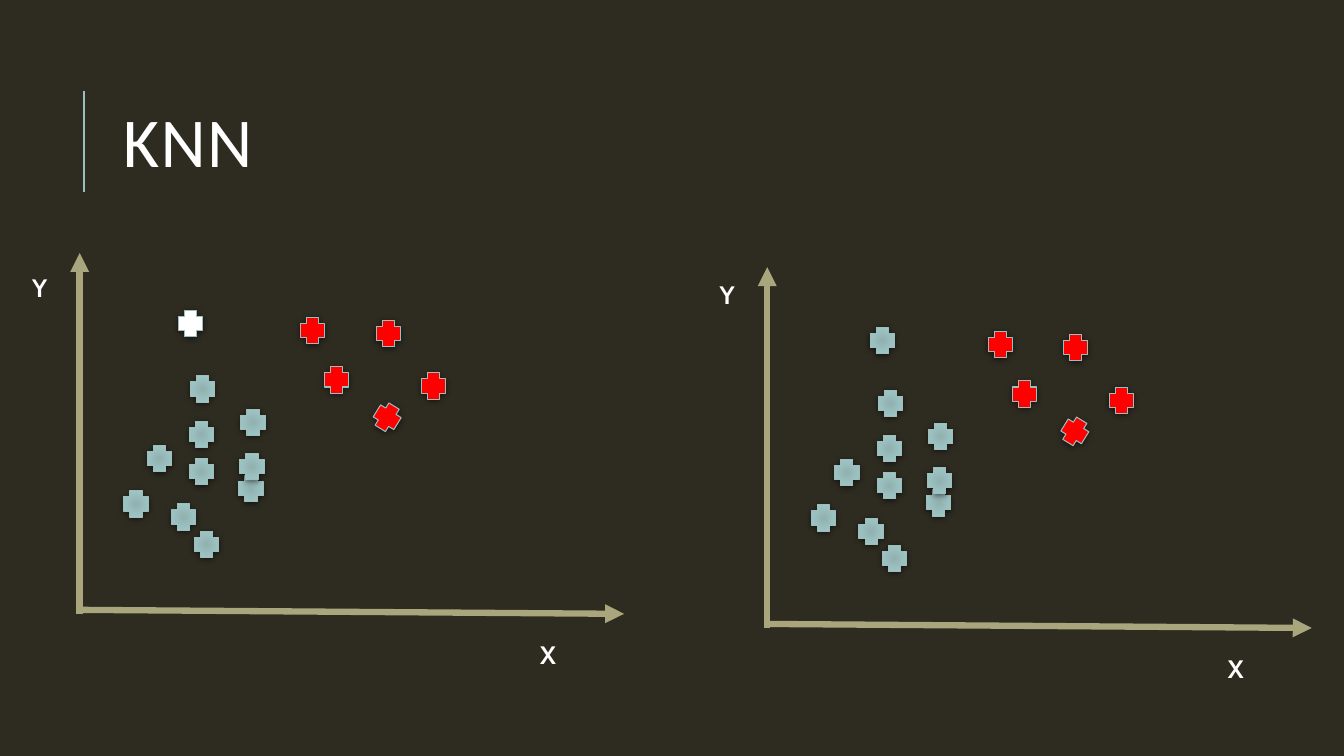
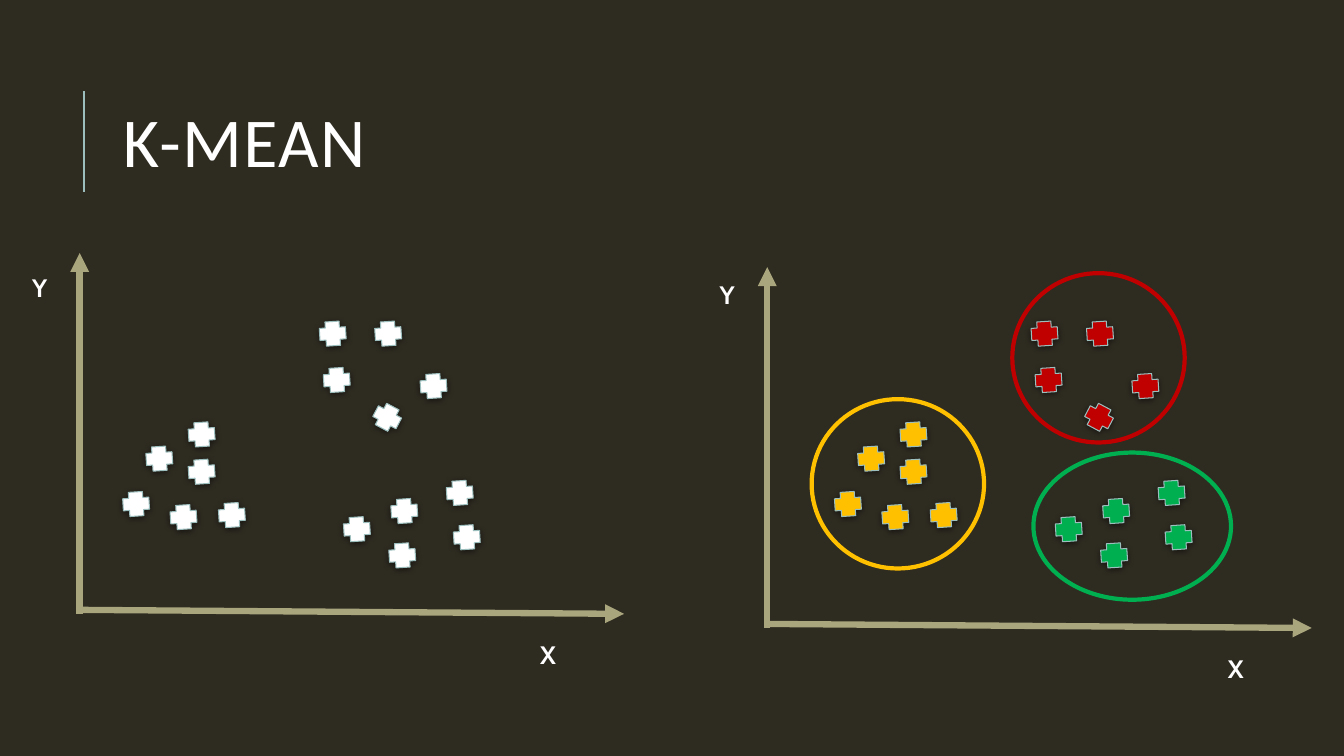
from dataclasses import dataclass

from lxml import etree
from pptx import Presentation
from pptx.dml.color import RGBColor
from pptx.enum.shapes import MSO_CONNECTOR, MSO_SHAPE
from pptx.enum.text import MSO_ANCHOR
from pptx.oxml.ns import qn
from pptx.util import Pt

STRAIGHT = MSO_CONNECTOR.STRAIGHT
PLUS, OVAL = MSO_SHAPE.CROSS, MSO_SHAPE.OVAL
TOP, MIDDLE = MSO_ANCHOR.TOP, MSO_ANCHOR.MIDDLE
PX = 9144  # 100 px to the inch


@dataclass(frozen=True)
class Theme:
    background: str = "2E2B21"
    text: str = "FFFFFF"
    accent: str = "9CBEBD"
    axis: str = "A9A57C"
    teal: tuple = ("91B1B0", "A2CDCC")  # gradient, from and to
    white: str = "FFFFFF"
    red: str = "FF0000"
    crimson: str = "C00000"
    amber: str = "FFC000"
    green: str = "00B050"
    title_font: str = "Calibri"
    label_font: str = "Cabin"
    title_size: int = 50
    label_size: int = 18


THEME = Theme()


def add_text(slide, text, box, *, font, size, bold=False, anchor=TOP,
             line_spacing=None, tracking=None):
    """Add a text box; tracking is letter spacing in hundredths of a point."""
    frame = slide.shapes.add_textbox(*(v * PX for v in box)).text_frame
    frame.word_wrap = True
    frame.vertical_anchor = anchor
    paragraph = frame.paragraphs[0]
    if line_spacing:
        paragraph.line_spacing = line_spacing
    run = paragraph.add_run()
    run.text = text
    run.font.name = font
    run.font.size = Pt(size)
    run.font.bold = bold
    run.font.color.rgb = RGBColor.from_string(THEME.text)
    if tracking:
        run.font._element.set("spc", str(tracking))


def add_line(slide, start, end, color, width, arrow=False):
    connector = slide.shapes.add_connector(
        STRAIGHT, *(v * PX for v in (*start, *end)))
    connector.line.color.rgb = RGBColor.from_string(color)
    connector.line.width = Pt(width)
    properties = connector._element.spPr
    if arrow:
        etree.SubElement(properties.find(qn("a:ln")), qn("a:tailEnd"), type="triangle")
    etree.SubElement(properties, qn("a:effectLst"))


MARKER_W, MARKER_H = 24, 26
TURNED_POINT, EXTRA_TURN = (372, 401), 31.7
PANEL_SHIFTS = ((0, 0), (682, 14))
Y_LABEL_TOPS = (265, 272)

KNN_TEAL = [(189, 373), (193, 527), (146, 442), (239, 406), (123, 487), (170, 500),
            (188, 455), (237, 472), (188, 418), (238, 450)]
KNN_RED = [(298, 315), (322, 364), (373, 318), (418, 370), TURNED_POINT]
MEAN_LEFT = [(218, 498), (146, 442), (123, 487), (170, 500), (188, 455), (188, 418)]
MEAN_TOP = [(318, 318), (322, 364), (373, 318), (418, 370), TURNED_POINT]
MEAN_LOW = [(444, 476), (387, 538), (342, 512), (389, 494), (451, 520)]

# Clusters: colour on the left, colour on the right, shift to the right, points
SLIDES = [
    dict(title="KNN", turn=0, rings=[], clusters=[
        (THEME.teal, THEME.teal, (682, 14), KNN_TEAL),
        (THEME.red, THEME.red, (682, 14), KNN_RED),
        (THEME.white, THEME.teal, (686, 17), [(177, 308)]),
    ]),
    dict(title="K-MEAN", turn=86.3, rings=[
        (THEME.amber, (805, 396, 171, 168)),
        (THEME.crimson, (1004, 271, 171, 168)),
        (THEME.green, (1025, 449, 196, 146)),
    ], clusters=[
        (THEME.white, THEME.amber, (706, 0), MEAN_LEFT),
        (THEME.white, THEME.crimson, (706, 0), MEAN_TOP),
        (THEME.white, THEME.green, (706, 0), MEAN_LOW),
    ]),
]

prs = Presentation()
prs.slide_width, prs.slide_height = 1333 * PX, 750 * PX
backdrop = prs.slide_master.background.fill
backdrop.solid()
backdrop.fore_color.rgb = RGBColor.from_string(THEME.background)
blank = prs.slide_layouts[6]

for content in SLIDES:
    slide = prs.slides.add_slide(blank)
    add_line(slide, (83, 190), (83, 90), THEME.accent, 1.5)
    add_text(slide, content["title"], (112, 64, 1063, 164), font=THEME.title_font,
             size=THEME.title_size, anchor=MIDDLE, line_spacing=0.8, tracking=100)

    for (dx, dy), y_label_top in zip(PANEL_SHIFTS, Y_LABEL_TOPS):
        for start, end in (((79, 609), (79, 251)), ((79, 605), (619, 609))):
            add_line(slide, (start[0] + dx, start[1] + dy), (end[0] + dx, end[1] + dy),
                     THEME.axis, 4.5, arrow=True)
        for label, left, top in (("Y", 22, y_label_top), ("X", 526, 629 + dy)):
            add_text(slide, label, (left + dx, top, 76, 40), font=THEME.label_font,
                     size=THEME.label_size, bold=True)

    for left_color, right_color, right_shift, points in content["clusters"]:
        for color, (dx, dy) in ((left_color, (0, 0)), (right_color, right_shift)):
            for x, y in points:
                marker = slide.shapes.add_shape(
                    PLUS, (x + dx) * PX, (y + dy) * PX, MARKER_W * PX, MARKER_H * PX)
                marker.rotation = content["turn"]
                if (x, y) == TURNED_POINT:
                    marker.rotation += EXTRA_TURN
                properties = marker._element.spPr
                if isinstance(color, tuple):
                    marker.fill.gradient()
                    for stop, shade in zip(marker.fill.gradient_stops, color):
                        stop.color.rgb = RGBColor.from_string(shade)
                    gradient = properties.find(qn("a:gradFill"))
                    gradient.remove(gradient.find(qn("a:lin")))
                    circle = etree.SubElement(gradient, qn("a:path"), path="circle")
                    etree.SubElement(circle, qn("a:fillToRect"),
                                     {side: "100000" for side in "ltrb"})
                else:
                    marker.fill.solid()
                    marker.fill.fore_color.rgb = RGBColor.from_string(color)
                marker.line.color.rgb = RGBColor.from_string(THEME.accent)
                marker.line.width = Pt(0.75)
                marker.shadow.inherit = False
                shadow = etree.SubElement(
                    properties.find(qn("a:effectLst")), qn("a:outerShdw"),
                    blurRad=str(Pt(4)), dist=str(Pt(1)), dir="5400000", rotWithShape="0")
                shade = etree.SubElement(shadow, qn("a:srgbClr"), val="000000")
                etree.SubElement(shade, qn("a:alpha"), val="50000")

    for color, box in content["rings"]:
        ring = slide.shapes.add_shape(OVAL, *(v * PX for v in box))
        ring.fill.background()
        ring.line.color.rgb = RGBColor.from_string(color)
        ring.line.width = Pt(3)
        ring.shadow.inherit = False

prs.save("out.pptx")
